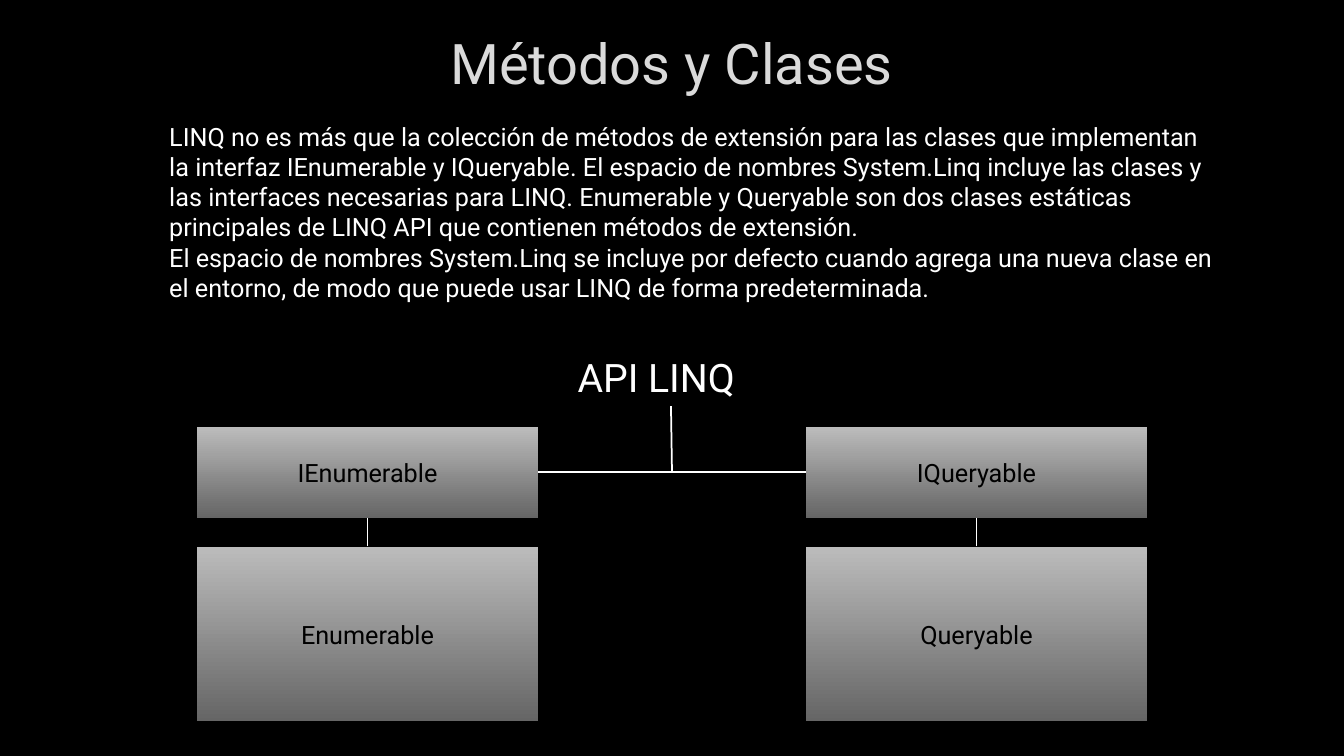
from pptx import Presentation, util as u
from pptx.dml.color import RGBColor
from pptx.enum import shapes as sh, text as tx
from lxml import etree

# Content
TITLE = "Métodos y Clases"
BODY = [
    "LINQ no es más que la colección de métodos de extensión para las clases que "
    "implementan la interfaz IEnumerable y IQueryable. El espacio de nombres "
    "System.Linq incluye las clases y las interfaces necesarias para LINQ. "
    "Enumerable y Queryable son dos clases estáticas principales de LINQ API que "
    "contienen métodos de extensión.",
    "El espacio de nombres System.Linq se incluye por defecto cuando agrega una "
    "nueva clase en el entorno, de modo que puede usar LINQ de forma "
    "predeterminada.",
]
ROOT = "API LINQ"
TREE = [("IEnumerable", "Enumerable"), ("IQueryable", "Queryable")]

# Grid, in inches
WIDE, HIGH = 13.33, 7.5
BOX_W = 3.39
COLS = [1.95, WIDE - 1.95 - BOX_W]   # mirrored about the middle
ROWS = [(4.23, 0.91), (5.42, 1.74)]  # top, height
MID = WIDE / 2
BUS = ROWS[0][0] + ROWS[0][1] / 2
STEM = 4.03

# Formats
FACE = "Roboto"
WHITE, BLACK = "FFFFFF", "000000"
SHADE = ["BCBCBC", "656565"]
CENTER, LEFT = tx.PP_ALIGN.CENTER, tx.PP_ALIGN.LEFT
MIDDLE, TOP = tx.MSO_ANCHOR.MIDDLE, tx.MSO_ANCHOR.TOP


def rgb(code):
    return RGBColor.from_string(code)


def write(shape, paras, size, color, align=CENTER, anchor=MIDDLE):
    frame = shape.text_frame
    for key, val in {"word_wrap": True, "vertical_anchor": anchor}.items():
        setattr(frame, key, val)
    for i, line in enumerate(paras):
        para = frame.add_paragraph() if i else frame.paragraphs[0]
        para.alignment = align
        run = para.add_run()
        run.text = line
        for key, val in {"name": FACE, "size": u.Pt(size)}.items():
            setattr(run.font, key, val)
        run.font.color.rgb = rgb(color)


def label(area, *args):
    write(slide.shapes.add_textbox(*map(u.Inches, area)), *args)


def box(area, name):
    rect = slide.shapes.add_shape(sh.MSO_SHAPE.RECTANGLE, *map(u.Inches, area))
    rect.shadow.inherit = False
    rect.fill.gradient()
    rect.fill.gradient_angle = 270
    for i, stop in enumerate(rect.fill.gradient_stops):
        stop.position = i
        stop.color.rgb = rgb(SHADE[i])
    rect.line.color.rgb = rgb(BLACK)
    rect.line.width = u.Pt(0.75)
    write(rect, [name], 18, BLACK)


def link(*ends):
    line = slide.shapes.add_connector(sh.MSO_CONNECTOR.STRAIGHT, *map(u.Inches, ends))
    line.line.color.rgb = rgb(WHITE)
    line.line.width = u.Pt(1.25)
    etree.SubElement(
        line._element.spPr,
        "{http://schemas.openxmlformats.org/drawingml/2006/main}effectLst")


# Slide
deck = Presentation()
deck.slide_width, deck.slide_height = u.Inches(WIDE), u.Inches(HIGH)
slide = deck.slides.add_slide(deck.slide_layouts[6])
slide.background.fill.solid()
slide.background.fill.fore_color.rgb = rgb(BLACK)

# Title, text and root of the tree
label((1, 0.09, 11.32, 1.06), [TITLE], 40, "DADADA")
label((1.58, 1.15, 10.61, 1.92), BODY, 18, WHITE, LEFT, TOP)
label((5.63, 3.46, 2.07, 0.57), [ROOT], 28, WHITE, LEFT, TOP)
link(MID - 0.01, STEM, MID, BUS)

# Branches: interface above, class below
for left, names, edge in zip(COLS, TREE, (COLS[0] + BOX_W, COLS[1])):
    for (top, tall), name in zip(ROWS, names):
        box((left, top, BOX_W, tall), name)
    link(MID, BUS, edge, BUS)
    axis = left + BOX_W / 2
    link(axis, ROWS[1][0], axis, sum(ROWS[0]))

deck.save("out.pptx")
